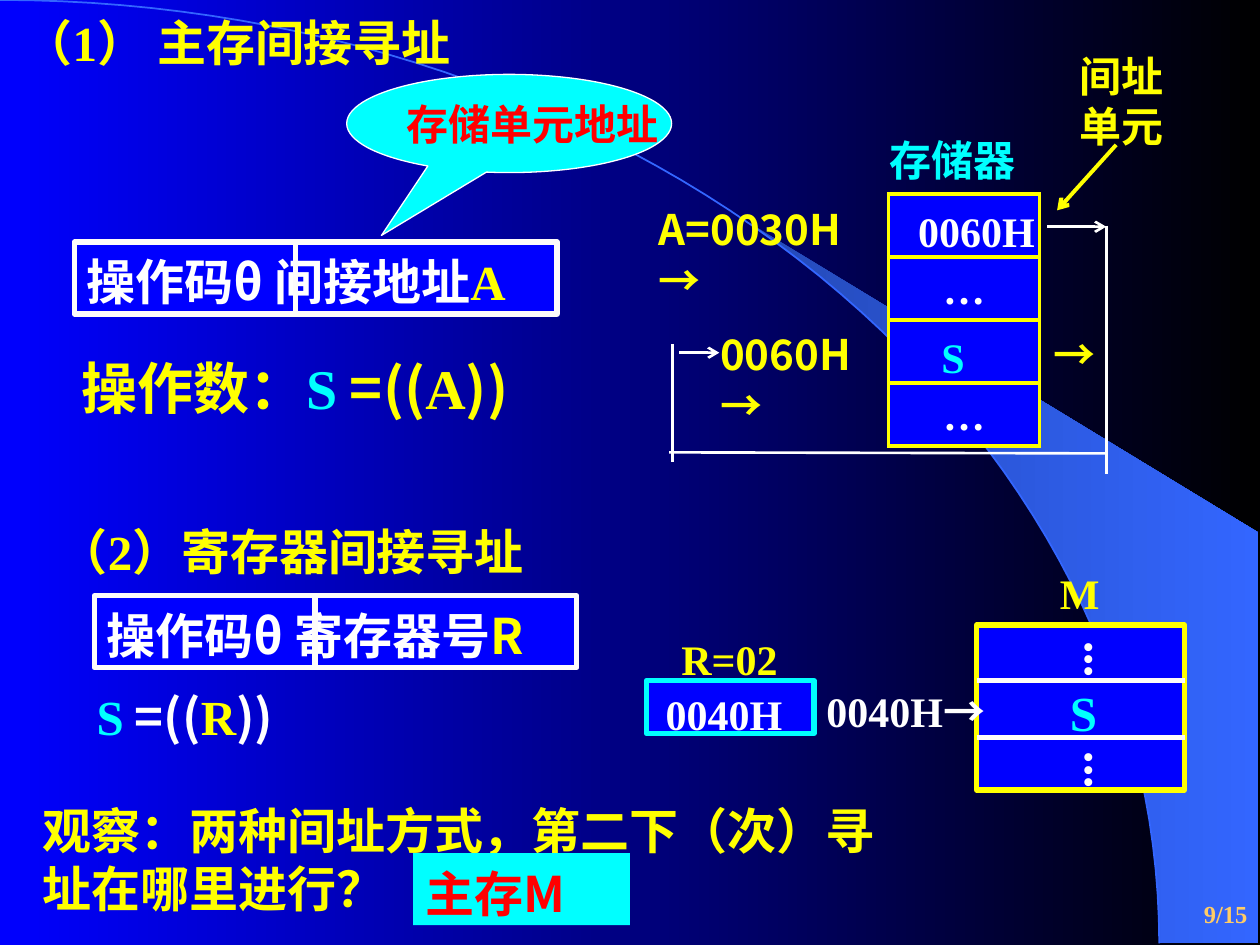
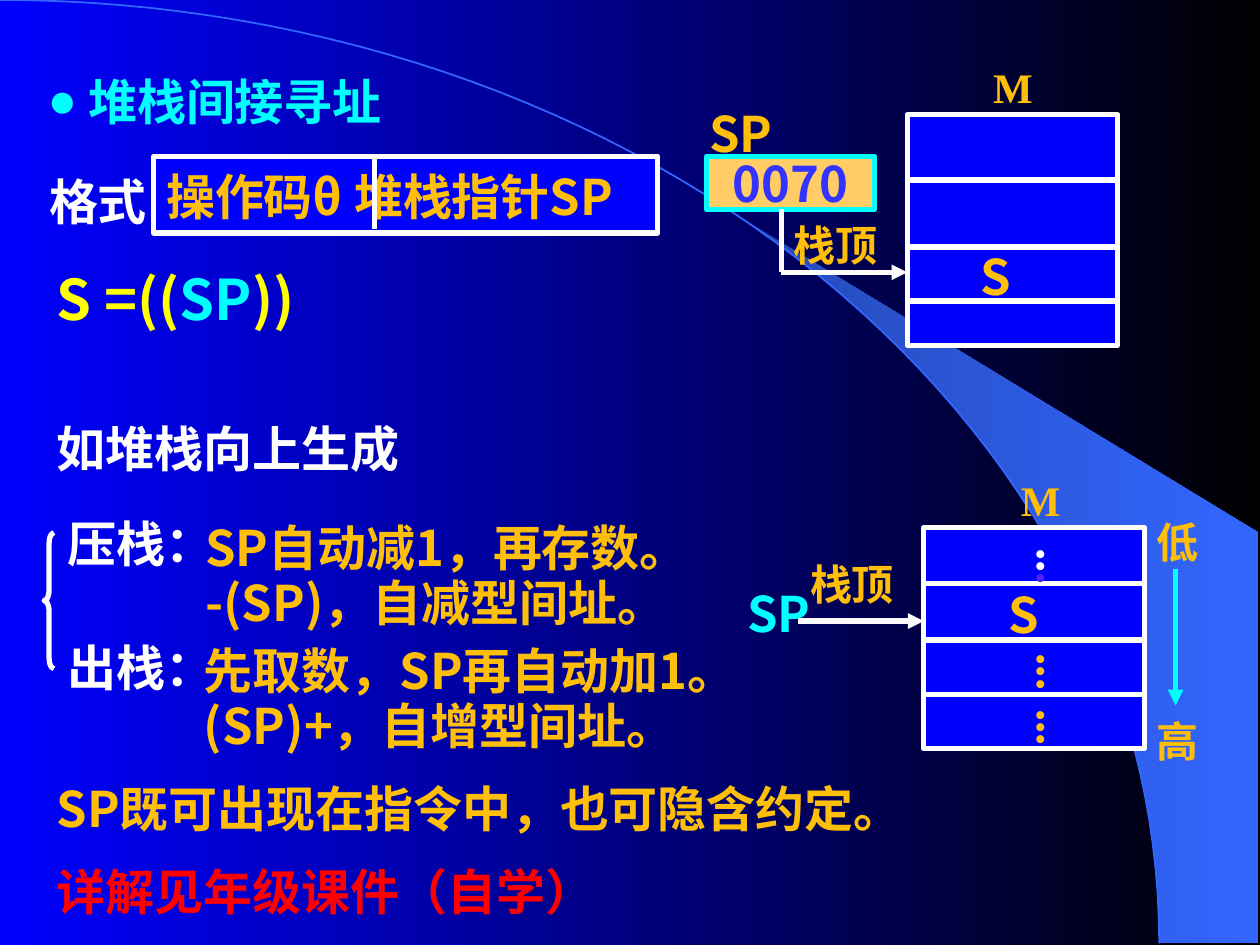
from dataclasses import dataclass
from math import asin, cos, pi, sin
from typing import NamedTuple

from lxml.etree import SubElement
from pptx import Presentation
from pptx.dml.color import RGBColor
from pptx.enum.shapes import MSO_CONNECTOR, MSO_SHAPE
from pptx.enum.text import MSO_ANCHOR, PP_ALIGN
from pptx.oxml.ns import qn
from pptx.util import Cm, Pt

LEFT, MID, RIGHT = PP_ALIGN.LEFT, PP_ALIGN.CENTER, PP_ALIGN.RIGHT
TOP, CENTRE = MSO_ANCHOR.TOP, MSO_ANCHOR.MIDDLE
RECT, BRACE = MSO_SHAPE.RECTANGLE, MSO_SHAPE.LEFT_BRACE
BUBBLE = MSO_SHAPE.OVAL_CALLOUT
STRAIGHT = MSO_CONNECTOR.STRAIGHT

TIMES, NOTO = "Times New Roman", "Noto Sans CJK SC"
BLUE, BLACK, WHITE, SNOW = "0000FF", "000000", "FFFFFF", "FDFBFB"
YELLOW, AQUA, RED, GOLD, SAND = "FFFF00", "00FFFF", "FF0000", "FFBF09", "FFCC66"
SKY, DEEP, INDIGO, VIOLET = "3366FF", "2449B6", "3333FF", "4F20FA"
ARC_W, ARC_H = 23.37, 19.02
EDGE = 25.37
CODE_W = 4.45


class Box(NamedTuple):
    left: float
    top: float
    wide: float
    high: float = 1.45


class Run(NamedTuple):
    text: str
    color: str
    font: str = TIMES


class Line(NamedTuple):
    x1: float
    y1: float
    x2: float
    y2: float
    color: str = SNOW
    width: float = 3
    head: str = ""


@dataclass
class Label:
    box: Box
    paras: list[list[Run]]
    size: int = 28
    align: PP_ALIGN = LEFT
    anchor: MSO_ANCHOR = TOP
    wrap: bool = True
    pitch: float = 1.2
    gap: int = 14
    upright: bool = False
    bullet: str = ""


@dataclass
class Stack:
    box: Box
    color: str
    bar: str
    cuts: list[float]


def rgb(color: str) -> RGBColor:
    return RGBColor.from_string(color)


def cms(box: tuple) -> list:
    return [Cm(v) for v in box]


def blend(fill, first: str, last: str) -> None:
    fill.gradient()
    fill.gradient_angle = 0
    for stop, color in zip(fill.gradient_stops, (first, last)):
        stop.color.rgb = rgb(color)


def write(frame, label: Label) -> None:
    frame.word_wrap = label.wrap
    frame.vertical_anchor = label.anchor
    if label.anchor == TOP:
        frame.margin_top = Cm(0.2)
    if label.upright:
        frame._txBody.bodyPr.set("vert", "eaVert")
    for i, runs in enumerate(label.paras):
        para = frame.add_paragraph() if i else frame.paragraphs[0]
        para.alignment = label.align
        para.line_spacing = Pt(label.size * label.pitch)
        if i:
            para.space_before = Pt(label.gap)
        if label.bullet:
            props = para._p.get_or_add_pPr()
            SubElement(props, qn("a:buFont")).set("typeface", TIMES)
            SubElement(props, qn("a:buChar")).set("char", label.bullet)
        for part in runs:
            run = para.add_run()
            run.text = part.text
            font = run.font
            font.size, font.bold, font.name = Pt(label.size), True, part.font
            font.color.rgb = rgb(part.color)
            SubElement(run._r.get_or_add_rPr(), qn("a:ea")).set("typeface", NOTO)


def draw_text(slide, label: Label) -> None:
    write(slide.shapes.add_textbox(*cms(label.box)).text_frame, label)


def draw_shape(slide, kind: MSO_SHAPE, box: Box, fill: str = "", edge: str = "",
               width: float = 3, tweaks: tuple = ()):
    shape = slide.shapes.add_shape(kind, *cms(box))
    shape.shadow.inherit = False
    if fill:
        shape.fill.solid()
        shape.fill.fore_color.rgb = rgb(fill)
    else:
        shape.fill.background()
    if edge:
        shape.line.color.rgb = rgb(edge)
        shape.line.width = Pt(width)
    else:
        shape.line.fill.background()
    for i, value in enumerate(tweaks):
        shape.adjustments[i] = value
    return shape


def draw_line(slide, line: Line) -> None:
    link = slide.shapes.add_connector(STRAIGHT, *cms(line[:4]))
    link.line.color.rgb = rgb(line.color)
    link.line.width = Pt(line.width)
    if line.head:
        SubElement(link.line._get_or_add_ln(), qn("a:tailEnd")).set("type", line.head)
    SubElement(link._element.spPr, qn("a:effectLst"))


def draw_stack(slide, stack: Stack) -> None:
    box = stack.box
    draw_shape(slide, RECT, box, BLUE, stack.color)
    for y in stack.cuts:
        draw_line(slide, Line(box.left, y, box.left + box.wide, y, stack.bar))


def draw_format(slide, box: Box, runs: list[Run]) -> None:
    """Draw an instruction word: operation code, divider, address field."""
    shape = draw_shape(slide, RECT, box, BLUE, SNOW)
    write(shape.text_frame, Label(box, [runs]))
    x = box.left + CODE_W
    draw_line(slide, Line(x, box.top, x, box.top + 1.47))


def draw_memory(slide, box: Box, cells: list[str]) -> None:
    table = slide.shapes.add_table(len(cells), 1, *cms(box)).table
    for i, text in enumerate(cells):
        cell = table.cell(i, 0)
        props = cell._tc.get_or_add_tcPr()
        for side in ("lnL", "lnR", "lnT", "lnB"):
            edge = SubElement(props, qn(f"a:{side}"), w=str(Pt(2.25)))
            paint = SubElement(edge, qn("a:solidFill"))
            SubElement(paint, qn("a:srgbClr")).set("val", YELLOW)
        cell.fill.solid()
        cell.fill.fore_color.rgb = rgb(BLUE)
        if text:
            write(cell.text_frame, Label(box, [[Run(text, WHITE)]], 24, MID))


def arc(start: float, steps: int = 60) -> list[tuple]:
    """Return points of the quarter ellipse from a start angle to its lower end."""
    turns = [start + (pi / 2 - start) * i / steps for i in range(steps + 1)]
    return [(Cm(ARC_W * sin(t)), Cm(ARC_H * (1 - cos(t)))) for t in turns]


def draw_path(slide, points: list[tuple], close: bool):
    pen = slide.shapes.build_freeform(*points[0])
    pen.add_line_segments(points[1:], close=close)
    shape = pen.convert_to_shape()
    shape.shadow.inherit = False
    return shape


def new_slide(deck):
    slide = deck.slides.add_slide(deck.slide_layouts[6])
    blend(slide.background.fill, BLUE, BLACK)
    corner = [(Cm(EDGE), Cm(ARC_H)), (Cm(EDGE), Cm(10.74))]
    beam = draw_path(slide, arc(asin(0.64)) + corner, True)
    blend(beam.fill, DEEP, SKY)
    beam.line.fill.background()
    curve = draw_path(slide, arc(0), False)
    curve.fill.background()
    curve.line.color.rgb = rgb(SKY)
    curve.line.width = Pt(1)
    return slide


def dots(x: float, y: float, *runs: Run) -> Label:
    return Label(Box(x, y, 1.7, 1.47), [list(runs)], upright=True)


def note(x: float, y: float, wide: float, text: str, color: str,
         font: str = TIMES, size: int = 28, **more) -> Label:
    """Make a label of one run."""
    high = 1.45 if size == 28 else 1.27
    return Label(Box(x, y, wide, high), [[Run(text, color, font)]], size, **more)


def memory_slide(deck) -> None:
    slide = new_slide(deck)
    code = Run("操作码", WHITE)
    draw_format(slide, Box(1.5, 4.88, 9.73),
                [code, Run("θ 间接地址", WHITE, NOTO), Run("A", YELLOW)])
    draw_format(slide, Box(1.9, 12.01, 9.73),
                [code, Run("θ 寄存器号", WHITE, NOTO), Run("R", YELLOW, NOTO)])
    draw_memory(slide, Box(17.91, 3.91, 3.05, 5.08), ["", "…", "", "…"])
    draw_stack(slide, Stack(Box(19.69, 12.6, 4.19, 3.33), YELLOW, SNOW, [13.72, 14.86]))
    draw_shape(slide, RECT, Box(13.03, 13.72, 3.38, 1.07), BLUE, AQUA)
    for line in (
        Line(21.11, 4.57, 22.3, 4.57, WHITE, 1.5, "arrow"),
        Line(22.3, 4.55, 22.3, 9.55, WHITE, 1.5),
        Line(13.49, 9.12, 22.3, 9.14, WHITE, 1.5),
        Line(13.56, 6.93, 13.56, 9.32, WHITE, 1.5),
        Line(13.69, 7.11, 14.5, 7.11, WHITE, 1.5, "arrow"),
        Line(22.5, 2.92, 21.31, 4.24, YELLOW, 2.25, "arrow"),
    ):
        draw_line(slide, line)
    bubble = Box(6.99, 1.5, 6.55, 1.98)
    shape = draw_shape(slide, BUBBLE, bubble, AQUA, WHITE, 0.75, (-0.393, 1.14))
    write(shape.text_frame, Label(bubble, [[Run("存储单元地址", RED)]], 24, wrap=False))
    for label in (
        note(0.23, 0.05, 10.13, "（1） 主存间接寻址", YELLOW),
        note(13.03, 3.91, 5.08, "A=0030H →", YELLOW, NOTO, 24),
        note(14.27, 6.43, 3.99, "0060H →", YELLOW, NOTO, 24),
        Label(Box(1.4, 6.93, 10.31, 1.63),
              [[Run("操作数：", YELLOW, NOTO), Run("S", AQUA), Run(" =((", YELLOW, NOTO),
                Run("A", YELLOW), Run("))", YELLOW, NOTO)]], 32),
        note(17.5, 2.51, 3.78, " 存储器", AQUA, NOTO, 24),
        note(20.98, 6.43, 2.01, "→", YELLOW, NOTO, 24),
        note(0.94, 10.31, 10.8, "（2）寄存器间接寻址", YELLOW),
        Label(Box(1.7, 13.64, 5.72), [[Run("S", AQUA), Run(" =((", WHITE, NOTO),
                                       Run("R", YELLOW), Run("))", WHITE, NOTO)]]),
        note(20.29, 11.25, 2.74, " M", YELLOW, size=24, align=MID),
        note(12.7, 12.57, 4.01, "R=02", YELLOW, size=24, align=MID),
        Label(Box(16.41, 13.61, 4.52), [[Run("0040H", WHITE), Run("→", WHITE, NOTO)]], 24),
        note(20.45, 13.56, 2.54, " S", AQUA, align=MID),
        dots(21.29, 12.73, Run("...", SNOW)),
        dots(21.29, 14.96, Run("...", SNOW)),
        note(0.61, 15.93, 17.98, "观察：两种间址方式，第二下（次）寻址在哪里进行？", YELLOW, NOTO),
        note(18.26, 3.94, 3.05, "0060H", WHITE, size=24),
        note(18.72, 6.48, 0.99, "S", AQUA, size=24, align=MID, wrap=False),
        note(13.16, 13.69, 2.87, "0040H", WHITE, size=24, align=MID, wrap=False),
        note(20.12, 17.78, 5.28, "9/15", SAND, size=14, align=RIGHT, anchor=CENTRE),
        note(21.51, 0.81, 2.95, "间址单元", YELLOW, size=24),
    ):
        draw_text(slide, label)
    answer = note(8.33, 17.2, 4.37, "主存M", RED, NOTO)
    write(draw_shape(slide, RECT, answer.box, AQUA).text_frame, answer)


def stack_slide(deck) -> None:
    slide = new_slide(deck)
    draw_format(slide, Box(3.1, 3.15, 10.16, 1.55),
                [Run("操作码", GOLD), Run("θ 堆栈指针SP", GOLD, NOTO)])
    draw_stack(slide, Stack(Box(18.29, 2.31, 4.24, 4.65), WHITE, WHITE, [3.63, 4.98, 6.07]))
    draw_stack(slide, Stack(Box(18.62, 10.64, 4.45, 4.45), WHITE, WHITE, [11.76, 12.9, 14]))
    pointer = Label(Box(14.25, 3.15, 3.38, 1.07), [[Run("0070", INDIGO, NOTO)]],
                    align=MID, anchor=CENTRE, wrap=False)
    write(draw_shape(slide, RECT, pointer.box, SAND, AQUA).text_frame, pointer)
    draw_shape(slide, BRACE, Box(0.89, 10.74, 0.2, 2.74), edge=SNOW, tweaks=(1.083, 0.5))
    for line in (
        Line(15.75, 4.22, 15.75, 5.49),
        Line(15.75, 5.49, 18.29, 5.49, head="triangle"),
        Line(16.08, 12.52, 18.62, 12.52, head="triangle"),
        Line(23.7, 11.48, 23.7, 14.22, AQUA, head="triangle"),
    ):
        draw_line(slide, line)
    for label in (
        note(0.74, 3.25, 2.97, "格式", WHITE),
        note(0.71, 1.24, 7.98, " 堆栈间接寻址", AQUA, bullet="●"),
        Label(Box(0.89, 5.13, 5.72, 1.6), [[Run("S =((", YELLOW, NOTO), Run("SP", AQUA, NOTO),
                                            Run("))", YELLOW, NOTO)]], 32),
        note(14.05, 1.88, 4.01, "SP", GOLD, NOTO),
        note(18.69, 4.78, 2.54, " S", GOLD, NOTO, align=MID),
        note(19.56, 1.04, 2.74, " M", GOLD, size=24),
        note(15.75, 4.22, 2.97, "栈顶", GOLD, NOTO, 24),
        Label(Box(0.89, 15.49, 19.05, 3.25),
              [[Run("SP既可出现在", GOLD, NOTO), Run("指令中，也可隐含约定。", GOLD)],
               [Run("详解见年级课件（自学）", RED)]]),
        note(0.89, 8.23, 12.95, "如堆栈向上生成", WHITE),
        note(1.12, 10.16, 3.61, "压栈：", WHITE),
        note(1.12, 12.65, 3.61, "出栈：", WHITE),
        Label(Box(3.89, 10.31, 11.43, 2.03), [[Run("SP自动减1，再存数。", GOLD, NOTO)],
              [Run("-(SP)，自减型间址。", GOLD, NOTO)]], pitch=1.12, gap=0),
        Label(Box(3.86, 12.8, 12.7, 2.03),
              [[Run("先取数，", GOLD), Run("SP再自动加1。", GOLD, NOTO)],
               [Run("(SP)+，自增型间址。", GOLD, NOTO)]], pitch=1.12, gap=0),
        note(14.81, 11.56, 2.34, "SP", AQUA, NOTO),
        note(16.08, 11.05, 2.97, "栈顶", GOLD, NOTO, 24),
        note(20.12, 9.37, 2.74, " M", GOLD, size=24),
        note(19.86, 11.58, 2.54, " S", GOLD, NOTO),
        dots(20.32, 10.85, Run("..", WHITE), Run(".", VIOLET)),
        dots(20.32, 12.98, Run("...", GOLD)),
        dots(20.32, 14.1, Run("...", GOLD)),
        note(23.06, 10.21, 1.7, "低", GOLD, NOTO, 24),
        note(23.06, 14.22, 1.7, "高", GOLD, NOTO, 24),
    ):
        draw_text(slide, label)


def main() -> None:
    deck = Presentation()
    deck.slide_width, deck.slide_height = Cm(25.4), Cm(19.05)
    memory_slide(deck)
    stack_slide(deck)
    deck.save("out.pptx")


if __name__ == "__main__":
    main()
